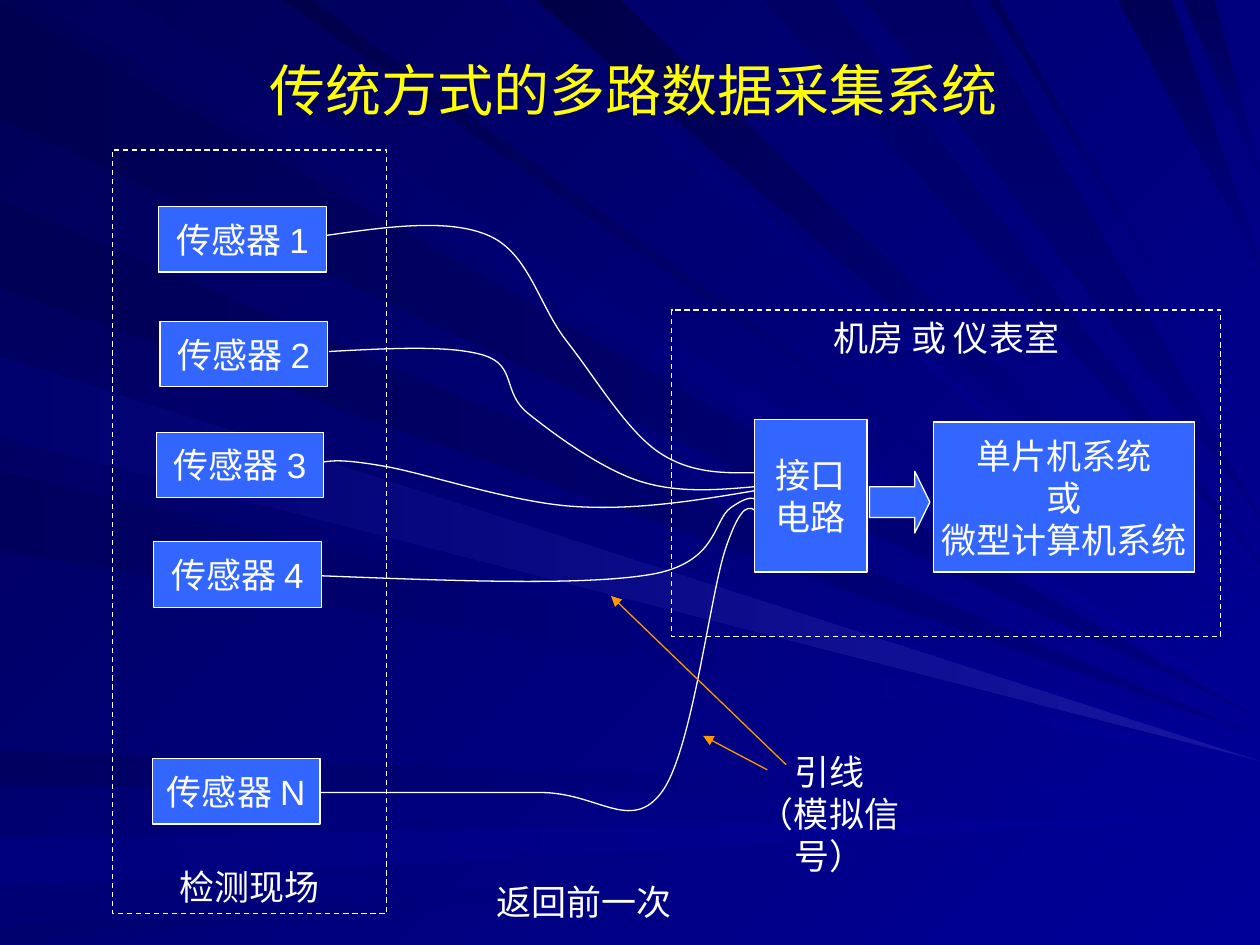
from lxml import etree
from pptx import Presentation
from pptx import util as u
from pptx.dml.color import RGBColor
from pptx.enum import dml, shapes, text
from pptx.oxml.ns import qn

Inches, Pt = u.Inches, u.Pt
MID, TOP, BOTTOM = text.MSO_ANCHOR.MIDDLE, text.MSO_ANCHOR.TOP, text.MSO_ANCHOR.BOTTOM
CENTER, LEFT = text.PP_ALIGN.CENTER, text.PP_ALIGN.LEFT


def paint(fill, start, end=None, angle=0):
    if end is None:
        fill.solid()
        fill.fore_color.rgb = RGBColor.from_string(start)
        return
    fill.gradient()
    fill.gradient_angle = 360 - angle
    for stop, color in zip(fill.gradient_stops, (start, end)):
        stop.color.rgb = RGBColor.from_string(color)


def write(tf, lines, size=20, color="FFFFFF", anchor=TOP, align=CENTER, wrap=False):
    tf.word_wrap = wrap
    tf.vertical_anchor = anchor
    for i, line in enumerate(lines):
        p = tf.paragraphs[0] if i == 0 else tf.add_paragraph()
        p.alignment = align
        r = p.add_run()
        r.text = line
        r.font.size = Pt(size)
        r.font.name = "Arial"
        r.font.color.rgb = RGBColor.from_string(color)


prs = Presentation()
prs.slide_width, prs.slide_height = Inches(10), Inches(7.5)
s = prs.slides.add_slide(prs.slide_layouts.get_by_name("Title Only"))
paint(s.background.fill, "000099", "000057", 225)

left_rays = [
    (0.02, 0.93, 5.7, "000080", "000051"),
    (5.96, 6.23, 6.32, "000099", "000060"),
    (6.65, 7.04, 6.47, "000099", "00007C"),
    (7.35, 7.5, 6.62, "000099", "00006E"),
    (1.59, 2.28, 5.85, "000080", "000055"),
    (2.78, 3.42, 6, "000099", "000060"),
    (3.74, 4.37, 6.06, "000099", "00005C"),
    (2.83, 3.47, 6.04, "1616A1", "00006E"),
]
top_rays = [
    (0.26, 1.01, 5.63, "000099", "00005C"),
    (3.98, 4.16, 5.18, "000099", "00006A"),
    (4.26, 4.92, 4.93, "000099", "000046"),
    (6.06, 6.61, 4.46, "000064", "000080"),
    (2.25, 2.47, 5.5, "000099", "00004A"),
    (6.86, 7.7, 4.1, "000064", "000080"),
    (7.85, 7.92, 3.57, "000099", "000057"),
    (8.87, 9.3, 2.1, "000055", "000080"),
    (9.39, 9.64, 1.4, "000059", "000080"),
]
rays = [((0, a), (0, b), tip, start, end, 180) for a, b, tip, start, end in left_rays]
rays += [((a, 0), (b, 0), tip, start, end, 90 if end == "000080" else 225)
         for a, b, tip, start, end in top_rays]
grp = s.shapes.add_group_shape()
for first, second, tip, start, end, angle in rays:
    pts = [(Inches(x), Inches(y)) for x, y in (first, second, (10, tip))]
    fb = grp.shapes.build_freeform(*pts[0])
    fb.add_line_segments(pts[1:], close=True)
    sp = fb.convert_to_shape()
    sp.shadow.inherit = False
    sp.line.fill.background()
    paint(sp.fill, start, end, angle)
s.shapes._spTree.insert(2, grp._element)

title = s.shapes.title
title.left, title.top, title.width, title.height = Inches(0.53), Inches(0.33), Inches(9), Inches(0.76)
write(title.text_frame, ["传统方式的多路数据采集系统"], 32, "FFFF00", MID, wrap=True)

wires = [
    [(2.58, 1.87), (3.88, 1.87), (4.5, 2.71), (5.23, 3.59), (6.04, 3.75)],
    [(2.61, 2.79), (3.84, 2.82), (4.19, 3.28), (5.08, 3.82), (6.02, 3.86)],
    [(2.55, 3.67), (3.05, 3.7), (4.56, 4.02), (6.02, 3.89)],
    [(2.55, 4.57), (5.16, 4.56), (5.8, 4.03), (6.01, 3.97)],
    [(2.53, 6.29), (4.29, 6.29), (5.25, 6.29), (5.76, 4.35), (6.01, 4.06)],
]
for knots in wires:
    before, after = {}, {}
    for i in range(1, len(knots) - 1):
        (x0, y0), (x, y), (x1, y1) = knots[i - 1:i + 2]
        dx, dy = (x1 - x0) / 6, (y1 - y0) / 6
        before[i], after[i] = (x - dx, y - dy), (x + dx, y + dy)
    last = len(knots) - 1
    after[0] = [(a + b) / 2 for a, b in zip(knots[0], before[1])]
    before[last] = [(a + b) / 2 for a, b in zip(knots[last], after[last - 1])]
    curve_points = [pt for i in range(last) for pt in (after[i], before[i + 1], knots[i + 1])]
    pts = [(Inches(x), Inches(y)) for x, y in [knots[0]] + curve_points]
    fb = s.shapes.build_freeform(*pts[0])
    fb.add_line_segments(pts[1:], close=False)
    sp = fb.convert_to_shape()
    sp.shadow.inherit = False
    sp.fill.background()
    paint(sp.line.fill, "FFFFFF")
    sp.line.width = Pt(0.75)
    outline = next(sp._element.iter(qn("a:path")))
    segments = outline.findall(qn("a:lnTo"))
    for i in range(0, len(segments), 3):
        curve = etree.SubElement(outline, qn("a:cubicBezTo"))
        for segment in segments[i:i + 3]:
            curve.append(segment[0])
            outline.remove(segment)

RECT, ARROW = shapes.MSO_SHAPE.RECTANGLE, shapes.MSO_SHAPE.RIGHT_ARROW
sensors = [("1", 1.26, 1.64), ("2", 1.27, 2.55), ("3", 1.24, 3.43), ("4", 1.22, 4.3), ("N", 1.21, 6.02)]
boxes = [(RECT, x, y, 1.33, 0.52, True, MID, ["传感器 " + name]) for name, x, y in sensors]
boxes += [
    (RECT, 7.41, 3.35, 2.07, 1.19, True, MID, ["单片机系统", "或", "微型计算机系统"]),
    (RECT, 5.99, 3.33, 0.89, 1.21, True, MID, ["接口", "电路"]),
    (ARROW, 6.9, 3.74, 0.48, 0.49, True, MID, []),
    (RECT, 5.33, 2.46, 4.36, 2.59, False, TOP, ["机房 或 仪表室"]),
    (RECT, 0.89, 1.19, 2.18, 6.06, False, BOTTOM, ["检测现场"]),
]
for kind, x, y, w, h, filled, anchor, lines in boxes:
    sp = s.shapes.add_shape(kind, Inches(x), Inches(y), Inches(w), Inches(h))
    sp.shadow.inherit = False
    paint(sp.line.fill, "FFFFFF")
    sp.line.width = Pt(0.75)
    if filled:
        paint(sp.fill, "3366FF")
    else:
        sp.fill.background()
        sp.line.dash_style = dml.MSO_LINE.DASH
    if kind == ARROW:
        sp.adjustments[0], sp.adjustments[1] = 0.5, 0.25
    write(sp.text_frame, lines, anchor=anchor)

labels = [
    (5.87, 5.91, 1.42, 0.83, ["引线", "（模拟信号）"], CENTER, False),
    (3.84, 6.94, 1.78, 0.44, ["返回前一次"], LEFT, True),
]
for x, y, w, h, lines, align, wrap in labels:
    tb = s.shapes.add_textbox(Inches(x), Inches(y), Inches(w), Inches(h))
    write(tb.text_frame, lines, align=align, wrap=wrap)

for x1, y1, x2, y2 in [(6.09, 6.11, 5.58, 5.84), (6.24, 6.07, 4.85, 4.73)]:
    cn = s.shapes.add_connector(shapes.MSO_CONNECTOR.STRAIGHT, Inches(x1), Inches(y1), Inches(x2), Inches(y2))
    paint(cn.line.fill, "FF9900")
    cn.line.width = Pt(0.75)
    etree.SubElement(cn.line._get_or_add_ln(), qn("a:tailEnd"), type="triangle")
    etree.SubElement(cn._element.spPr, qn("a:effectLst"))

prs.save("out.pptx")
